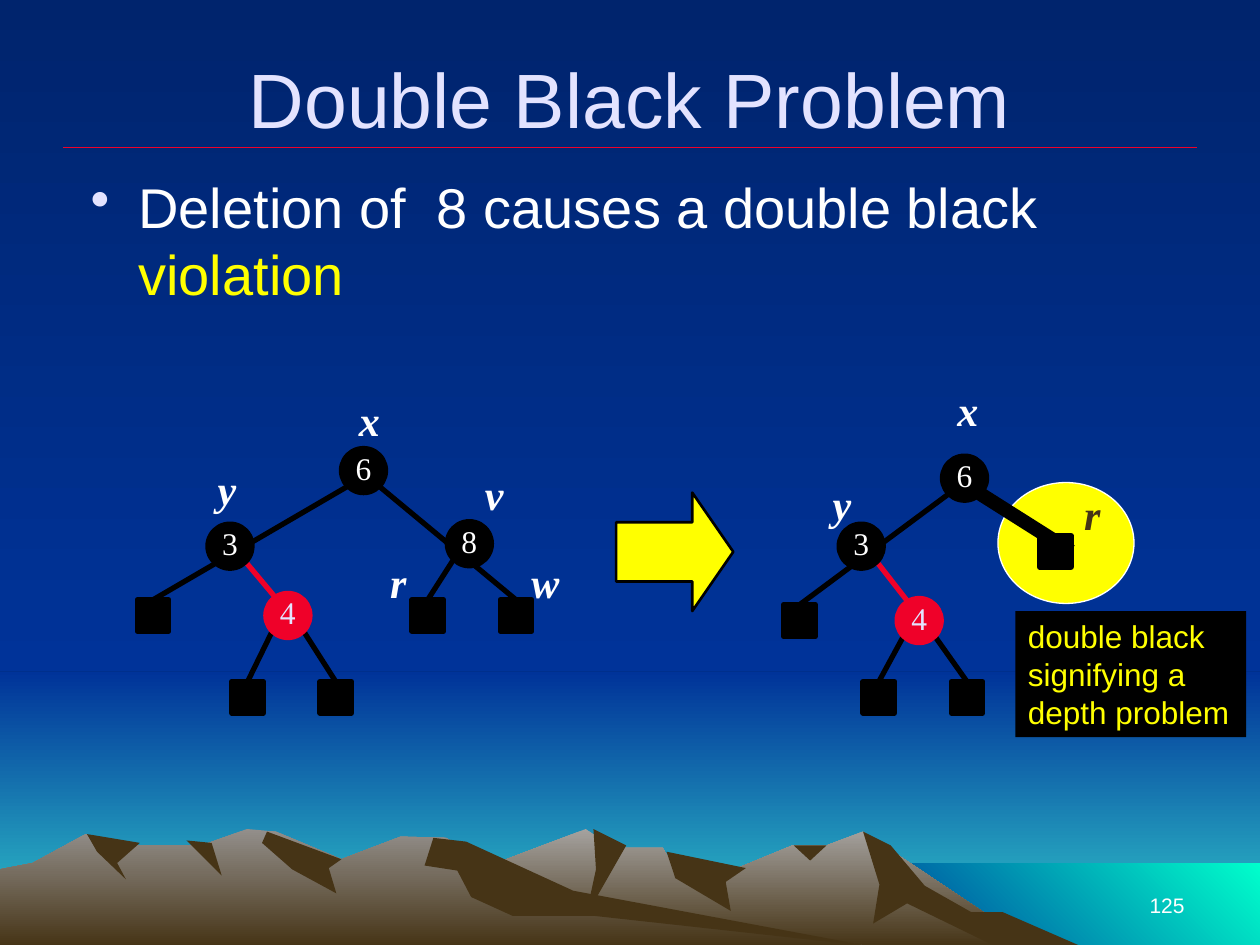
from lxml import etree
from pptx import Presentation
from pptx.dml.color import RGBColor
from pptx.enum import shapes as kinds
from pptx.enum import text as tx
from pptx.oxml.ns import qn
from pptx.util import Inches, Pt

BLACK, WHITE, RED, YELLOW = "000000", "FFFFFF", "EF0129", "FFFF00"
LILAC, EARTH, NIGHT, BLUE = "E3E3FF", "463416", "00246D", "003399"
SANS, SERIF = "Arial", "Times New Roman"

TITLE = "Double Black Problem"
BODY = [("Deletion of  8 causes a double black ", WHITE), ("violation", YELLOW)]
NOTE = "double black signifying a depth problem"
PAGE = "125"

# A gradient is (first, last, angle).
DOWN, UP_RIGHT = 270, 45
BACKDROP = [
    ((0, 5.33, 10, 2.17), (BLUE, "33CCCC", DOWN)),
    ((0, 0, 10, 5.33), (NIGHT, BLUE, DOWN)),
    ((6.83, 6.85, 3.17, 0.67), (BLUE, "00FFCC", UP_RIGHT)),
]
MOUNTAINS = [
    (("A5A29F", EARTH, DOWN), [
        (2.58, 7.51), (3.27, 7.09), (3.94, 6.85), (4.65, 6.58), (4.86, 6.73), (5.26, 6.73),
        (5.36, 6.9), (5.66, 6.97), (6.29, 6.71), (6.56, 6.71), (6.85, 6.6), (8.21, 7.51)]),
    (EARTH, [
        (6.85, 6.6), (6.98, 7.02), (6.93, 7.33), (7.2, 7.17), (7.92, 7.52), (8.58, 7.51),
        (7.96, 7.24), (7.71, 7.24), (7.34, 7.03), (7.07, 6.71)]),
    (EARTH, [(4.71, 6.58), (4.73, 6.9), (4.65, 7.27), (4.97, 6.71)]),
    (EARTH, [(5.29, 6.76), (5.36, 6.97), (5.8, 7.23), (5.76, 7), (5.92, 6.89)]),
    (EARTH, [(6.3, 6.71), (6.43, 6.83), (6.56, 6.71)]),
    (("938F8B", EARTH, DOWN), [
        (0, 7.51), (0, 6.9), (0.26, 6.85), (0.68, 6.62), (0.94, 6.71), (1.6, 6.71),
        (1.96, 6.58), (2.19, 6.6), (2.71, 6.82), (3.18, 6.64), (3.54, 6.65), (4.32, 7.12),
        (6.9, 7.51)]),
    (EARTH, [(2.12, 6.6), (2.08, 6.69), (2.32, 6.9), (2.67, 7.09), (2.61, 6.89), (2.71, 6.82)]),
    (EARTH, [
        (3.44, 6.65), (3.37, 6.87), (3.63, 6.91), (3.74, 7.12), (4.07, 7.27), (4.72, 7.27),
        (6.9, 7.51), (4.55, 7.07), (3.7, 6.68)]),
    (EARTH, [(1.48, 6.67), (1.68, 6.69), (1.76, 6.95)]),
    (EARTH, [(0.69, 6.62), (1.11, 6.69), (0.93, 6.85), (1, 6.98), (0.77, 6.76)]),
]

NODE, LEAF = 0.35, 0.25
TOP, RIGHT = 0, 3      # connection sites of a leaf
LEFT_LEG, RIGHT_LEG = -1, 1
# Left and top of each part; an edge is (leaf, site, node, leg, width).
TREES = [
    {"nodes": {"6": (2.71, 3.56), "3": (1.65, 4.16), "8": (3.55, 4.14), "4": (2.11, 4.71)},
     "leaves": {"a": (1.09, 4.76), "r": (3.27, 4.76), "w": (3.97, 4.76)},
     "edges": [("r", TOP, "8", LEFT_LEG, 3), ("w", TOP, "6", RIGHT_LEG, 3)]},
    {"nodes": {"6": (7.48, 3.62), "3": (6.66, 4.16), "4": (7.12, 4.75)},
     "leaves": {"a": (6.22, 4.8), "r": (8.25, 4.25)},
     "edges": [("r", RIGHT, "6", RIGHT_LEG, 8)]},
]
SHARED_EDGES = [("a", TOP, "6", LEFT_LEG, 3), ("b", TOP, "4", LEFT_LEG, 3),
                ("c", TOP, "4", RIGHT_LEG, 3)]
BOTTOM_ROW = 5.41
BOTTOM_LEAVES = {"b": -0.27, "c": 0.43}  # left, measured from node 4

LABELS = [  # text, centre, top, colour
    ("x", 2.92, 3.08, WHITE), ("y", 1.8, 3.63, WHITE), ("v", 3.92, 3.67, WHITE),
    ("r", 3.16, 4.37, WHITE), ("w", 4.29, 4.37, WHITE), ("x", 7.67, 3, WHITE),
    ("y", 6.68, 3.75, WHITE), ("r", 8.67, 3.83, EARTH),
]


def rgb(colour):
    return RGBColor.from_string(colour)


def paint(fill, colour):
    """Fill with one colour, or with a (first, last, angle) gradient."""
    if isinstance(colour, str):
        fill.solid()
        fill.fore_color.rgb = rgb(colour)
        return
    *ends, angle = colour
    fill.gradient()
    fill.gradient_angle = angle
    for stop, end in zip(fill.gradient_stops, ends):
        stop.color.rgb = rgb(end)


def style(shape, fill, line=None, width=0):
    shape.shadow.inherit = False
    paint(shape.fill, fill)
    if line:
        shape.line.color.rgb = rgb(line)
        shape.line.width = Pt(width)
    else:
        shape.line.fill.background()
    return shape


def write(shape, words, size, face, colour, align=tx.PP_ALIGN.LEFT,
          anchor=tx.MSO_ANCHOR.TOP, wrap=True):
    frame = shape.text_frame
    frame.word_wrap, frame.vertical_anchor = wrap, anchor
    paragraph = frame.paragraphs[0]
    paragraph.text, paragraph.alignment = words, align
    font = paragraph.font
    font.size, font.name, font.color.rgb = Pt(size), face, rgb(colour)
    return paragraph


def add(kind, box, fill, line=None, width=0):
    return style(shapes.add_shape(kind, *map(Inches, box)), fill, line, width)


def add_text(box, *args, **options):
    return write(shapes.add_textbox(*map(Inches, box)), *args, **options)


def add_line(start, end, colour, width):
    line = shapes.add_connector(kinds.MSO_CONNECTOR.STRAIGHT, *map(Inches, start + end))
    line.line.color.rgb = rgb(colour)
    line.line.width = Pt(width)
    etree.SubElement(line._element.spPr, qn("a:effectLst"))
    return line


def leg_point(spot, leg):
    """Lower diagonal point on the rim of a node."""
    reach = NODE * 0.354
    return spot[0] + NODE / 2 + leg * reach, spot[1] + NODE / 2 + reach


def add_tree(tree):
    nodes = tree["nodes"]
    spots = dict(tree["leaves"])
    for name, shift in BOTTOM_LEAVES.items():
        spots[name] = (nodes["4"][0] + shift, BOTTOM_ROW)
    leaves = {name: add(kinds.MSO_SHAPE.RECTANGLE, (*spot, LEAF, LEAF), BLACK, BLACK, 3)
              for name, spot in spots.items()}
    add_line(leg_point(nodes["3"], RIGHT_LEG), leg_point(nodes["4"], RIGHT_LEG), RED, 3)
    for leaf, site, node, leg, width in SHARED_EDGES + tree["edges"]:
        edge = add_line(spots[leaf], leg_point(nodes[node], leg), BLACK, width)
        edge.begin_connect(leaves[leaf], site)
    for name, spot in nodes.items():
        fill, ink = (RED, LILAC) if name == "4" else (BLACK, WHITE)
        node = add(kinds.MSO_SHAPE.OVAL, (*spot, NODE, NODE), fill, fill, 3)
        write(node, name, 18, SERIF, ink, tx.PP_ALIGN.CENTER, tx.MSO_ANCHOR.MIDDLE, False)
        frame = node.text_frame
        frame.margin_left = frame.margin_right = frame.margin_top = 0
        frame.margin_bottom = Inches(0.05)


prs = Presentation()
prs.slide_width, prs.slide_height = Inches(10), Inches(7.5)
slide = prs.slides.add_slide(prs.slide_layouts[5])
shapes = slide.shapes
paint(slide.background.fill, (NIGHT, BLUE, DOWN))

for box, fill in BACKDROP:
    add(kinds.MSO_SHAPE.RECTANGLE, box, fill)
for fill, outline in MOUNTAINS:
    start, *rest = [(Inches(x), Inches(y)) for x, y in outline]
    builder = shapes.build_freeform(*start)
    builder.add_line_segments(rest)
    style(builder.convert_to_shape(), fill)
add_line((0.5, 1.17), (9.5, 1.17), RED, 0.75)

title = shapes.title
title.left, title.top, title.width, title.height = map(Inches, (0.5, 0.25, 9, 1.05))
write(title, TITLE, 44, SANS, LILAC, tx.PP_ALIGN.CENTER, tx.MSO_ANCHOR.MIDDLE)
shapes.element.append(title.element)  # in front of the scenery

body = add_text((0.62, 1.32, 8.75, 3.42), "", 32, SANS, WHITE)
props = body._p.get_or_add_pPr()
props.set("marL", str(Inches(0.38)))
props.set("indent", str(-Inches(0.38)))
bullet_colour = etree.Element(qn("a:buClr"))
etree.SubElement(bullet_colour, qn("a:srgbClr"), val=LILAC)
props.insert(0, bullet_colour)
props.insert(1, etree.Element(qn("a:buChar"), char="•"))
for words, colour in BODY:
    run = body.add_run()
    run.text, run.font.color.rgb = words, rgb(colour)
    run.font.size, run.font.name = Pt(32), SANS

add(kinds.MSO_SHAPE.OVAL, (7.92, 3.83, 1.08, 0.96), YELLOW, WHITE, 0.75)
for tree in TREES:
    add_tree(tree)
arrow = add(kinds.MSO_SHAPE.RIGHT_ARROW, (4.89, 3.91, 0.93, 0.94), YELLOW, BLACK, 1.5)
arrow.adjustments[1] = 0.35
for letter, centre, top, colour in LABELS:
    label = add_text((centre - 0.17, top, 0.34, 0.5), letter, 24, SERIF, colour,
                     tx.PP_ALIGN.CENTER, wrap=False)
    label.font.bold = label.font.italic = True
write(add(kinds.MSO_SHAPE.RECTANGLE, (8.06, 4.85, 1.83, 1), BLACK), NOTE, 18, SANS, YELLOW)
add_text((7.17, 6.83, 2.33, 0.5), PAGE, 12, SANS, WHITE, tx.PP_ALIGN.RIGHT,
         tx.MSO_ANCHOR.BOTTOM)

prs.save("out.pptx")
